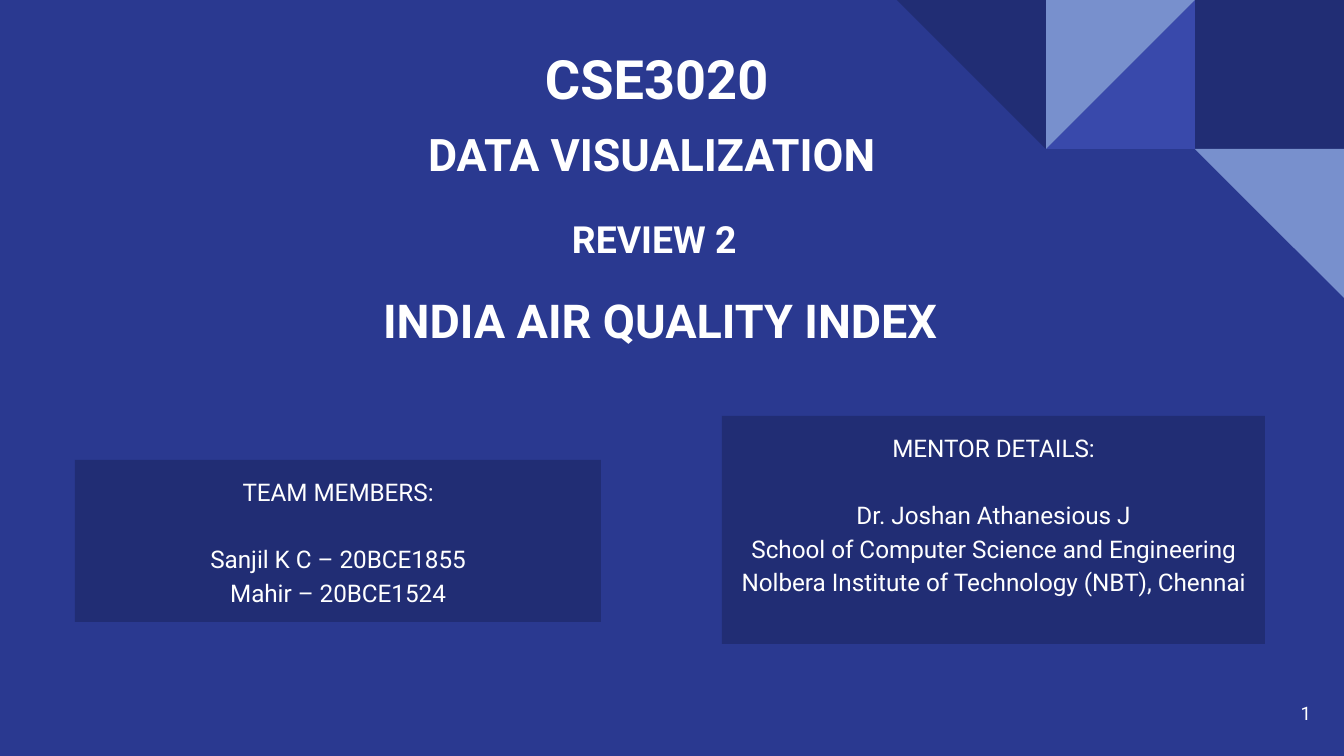
"""Build the title slide of a data visualization review."""
from dataclasses import dataclass

from pptx import Presentation
from pptx.dml.color import RGBColor
from pptx.enum.shapes import MSO_SHAPE as Shape
from pptx.enum.text import MSO_ANCHOR as Anchor, PP_ALIGN as Align
from pptx.util import Emu, Pt

EMU_PER_PIXEL = 914400 / 134.4
WIDTH, HEIGHT = 1344, 756
TILE = 149
INSET = 13


@dataclass(frozen=True)
class Theme:
    """Colours, font and type sizes of the slide."""
    background: str = "2A3990"
    navy: str = "212D74"
    indigo: str = "3949AB"
    sky: str = "7890CD"
    white: str = "FFFFFF"
    font: str = "Roboto"
    course: int = 29
    topic: int = 25
    subject: int = 24
    review: int = 20
    body: int = 13
    number: int = 10


THEME = Theme()


def px(*lengths):
    """Turn pixel lengths into EMU."""
    return [Emu(round(length * EMU_PER_PIXEL)) for length in lengths]


def paint(fill, colour):
    """Give a fill one solid colour."""
    fill.solid()
    fill.fore_color.rgb = RGBColor.from_string(colour)


def add_block(page, kind, bounds, colour, rotation=0):
    """Add a flat preset shape without an outline."""
    block = page.shapes.add_shape(kind, *px(*bounds))
    block.shadow.inherit = False
    block.line.fill.background()
    block.rotation = rotation
    paint(block.fill, colour)
    return block


def write(box, lines, size, bold=False, align=Align.LEFT, anchor=Anchor.TOP):
    """Fill a shape with evenly styled paragraphs and return them."""
    frame = box.text_frame
    frame.word_wrap = True
    frame.vertical_anchor = anchor
    frame.margin_left, frame.margin_top, frame.margin_right, frame.margin_bottom = px(*[INSET] * 4)
    frame.text = "\n".join(lines)
    for para in frame.paragraphs:
        para.alignment = align
        para.font.name = THEME.font
        para.font.size = Pt(size)
        para.font.bold = bold
        para.font.color.rgb = RGBColor.from_string(THEME.white)
    return frame.paragraphs


def add_text(page, bounds, text, size, **style):
    """Add a one-line text box."""
    write(page.shapes.add_textbox(*px(*bounds)), [text], size, **style)


def add_panel(page, bounds, heading, lines):
    """Add a dark panel with a heading set apart from its lines."""
    panel = add_block(page, Shape.RECTANGLE, bounds, THEME.navy)
    paragraphs = write(panel, [heading, *lines], THEME.body, align=Align.CENTER)
    for para in paragraphs:
        para.line_spacing = 1.15
    paragraphs[0].space_after = Pt(18)


def add_corner(page):
    """Add the tiles in the top right corner."""
    tiles = [
        (1, 0, Shape.RECTANGLE, THEME.navy, 0),
        (2, 0, Shape.RIGHT_TRIANGLE, THEME.indigo, 270),
        (2, 0, Shape.RIGHT_TRIANGLE, THEME.sky, 90),
        (3, 0, Shape.RIGHT_TRIANGLE, THEME.navy, 180),
        (1, 1, Shape.RIGHT_TRIANGLE, THEME.sky, 180),
    ]
    for from_right, row, kind, colour, rotation in tiles:
        bounds = (WIDTH - from_right * TILE, row * TILE, TILE, TILE)
        add_block(page, kind, bounds, colour, rotation)


def main():
    """Build and save the slide."""
    deck = Presentation()
    deck.slide_width, deck.slide_height = px(WIDTH, HEIGHT)
    page = deck.slides.add_slide(deck.slide_layouts[6])
    paint(page.background.fill, THEME.background)
    add_corner(page)

    headings = [
        ((532, 32, 400, 93), "CSE3020", THEME.course),
        ((415, 114, 700, 82), "DATA VISUALIZATION", THEME.subject),
        ((559, 203, 276, 73), "REVIEW 2", THEME.review),
        ((370, 279, 800, 82), "INDIA AIR QUALITY INDEX", THEME.topic),
    ]
    for bounds, text, size in headings:
        add_text(page, bounds, text, size, bold=True)

    add_panel(page, (75, 460, 526, 162), "TEAM MEMBERS:", [
        "Sanjil K C – 20BCE1855",
        "Mahir – 20BCE1524",
    ])
    add_panel(page, (722, 416, 543, 228), "MENTOR DETAILS:", [
        "Dr. Joshan Athanesious J",
        "School of Computer Science and Engineering",
        "Nolbera Institute of Technology (NBT), Chennai",
    ])
    add_text(page, (1243, 684, 81, 58), "1", THEME.number,
             align=Align.RIGHT, anchor=Anchor.MIDDLE)
    deck.save("out.pptx")


main()
